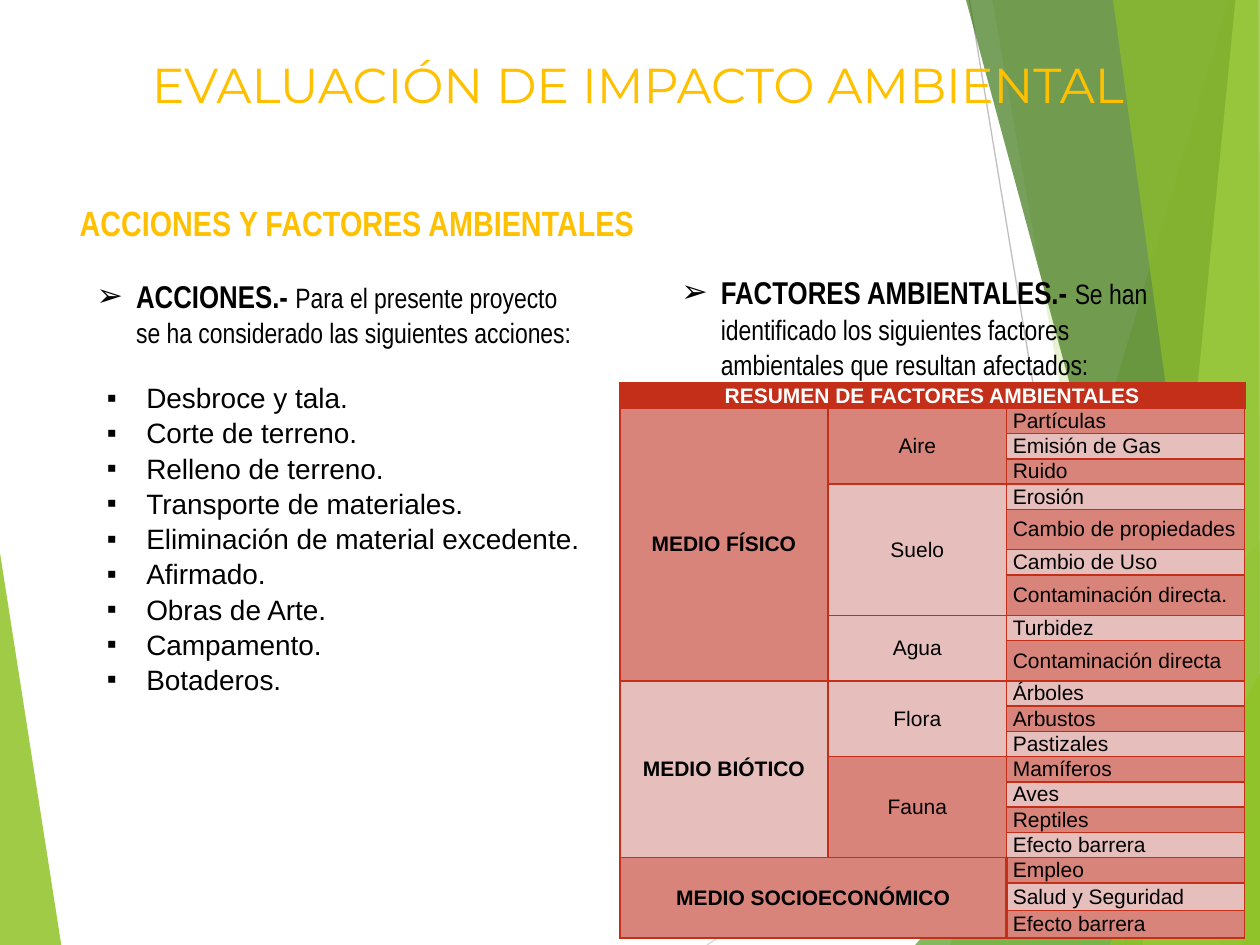
from lxml import etree
from pptx import Presentation
from pptx.dml.color import RGBColor
from pptx.enum.shapes import MSO_CONNECTOR
from pptx.enum.text import MSO_ANCHOR, MSO_AUTO_SIZE, PP_ALIGN
from pptx.oxml.ns import qn
from pptx.util import Pt

LEFT, CENTER, JUSTIFY = PP_ALIGN.LEFT, PP_ALIGN.CENTER, PP_ALIGN.JUSTIFY
MIDDLE = MSO_ANCHOR.MIDDLE
GROW, FIXED = MSO_AUTO_SIZE.SHAPE_TO_FIT_TEXT, MSO_AUTO_SIZE.NONE
STRAIGHT = MSO_CONNECTOR.STRAIGHT

COLORS = {
    "gold": "FFC000", "black": "000000", "white": "FFFFFF",
    "red": "C42F1A", "rose": "D8847A", "blush": "E6BEBC",
    "lime": "90C226", "green": "54A021", "forest": "3F7819",
    "pale": "C0E474", "mist": "D9D9D9", "gray": "BFBFBF",
}
NARROW = "Arial Narrow"

RAYS = [("mist", (404, 540), (720, 329)), ("gray", (554, 0), (643.5, 540))]
# colour, opacity in percent, corners
SHARDS = [
    ("lime", 85, [(0, 316), (35, 540), (0, 540)]),
    ("lime", 30, [(702, 0), (543, 540), (720, 540), (720, 0)]),
    ("lime", 20, [(567, 0), (662, 540), (720, 540), (720, 0)]),
    ("green", 72, [(523, 540), (720, 309), (720, 540)]),
    ("forest", 70, [(552, 0), (698, 540), (720, 540), (720, 0)]),
    ("pale", 70, [(706, 0), (653, 540), (720, 540), (720, 0)]),
    ("lime", 65, [(636, 0), (710, 540), (720, 540), (719, 0)]),
    ("lime", 80, [(634, 540), (720, 385), (720, 540)]),
]

ACTIONS = [
    "Desbroce y tala.", "Corte de terreno.", "Relleno de terreno.",
    "Transporte de materiales.", "Eliminación de material excedente.",
    "Afirmado.", "Obras de Arte.", "Campamento.", "Botaderos.",
]
FACTORS = [
    ("MEDIO FÍSICO", [
        ("Aire", ["Partículas", "Emisión de Gas", "Ruido"]),
        ("Suelo", ["Erosión", "Cambio de propiedades", "Cambio de Uso",
                   "Contaminación directa."]),
        ("Agua", ["Turbidez", "Contaminación directa"])]),
    ("MEDIO BIÓTICO", [
        ("Flora", ["Árboles", "Arbustos", "Pastizales"]),
        ("Fauna", ["Mamíferos", "Aves", "Reptiles", "Efecto barrera"])]),
    ("MEDIO SOCIOECONÓMICO", [
        ("", ["Empleo", "Salud y Seguridad", "Efecto barrera"])]),
]
WIDTHS = [119, 102, 136]
HEIGHTS = [14.4] * 18 + [15.7] * 2
for tall in (5, 7, 9):
    HEIGHTS[tall] = 23.1


def tint(name):
    return RGBColor.from_string(COLORS[name])


def write(para, text, font="Arial", size=12, color="black", bold=False,
          align=LEFT):
    para.alignment = align
    run = para.add_run()
    run.text = text
    run.font.name, run.font.size, run.font.bold = font, Pt(size), bold
    run.font.color.rgb = tint(color)


def mark(para, char):
    """Give a paragraph a bullet with a hanging indent."""
    props = para._p.get_or_add_pPr()
    props.set("marL", str(Pt(22.5)))
    props.set("indent", str(Pt(-22.5)))
    etree.SubElement(props, qn("a:buFont")).set("typeface", "Arial")
    etree.SubElement(props, qn("a:buChar")).set("char", char)
    para.line_spacing = 1.05


def frame(slide, box):
    shape = slide.shapes.add_textbox(*map(Pt, box))
    shape.text_frame.word_wrap = True
    shape.text_frame.auto_size = GROW
    return shape.text_frame


def backdrop(slide, box):
    x, y = box[:2]
    for color, start, end in RAYS:
        ends = [Pt(v) for v in (x + start[0], y + start[1],
                                x + end[0], y + end[1])]
        ray = slide.shapes.add_connector(STRAIGHT, *ends)
        ray.line.color.rgb, ray.line.width = tint(color), Pt(0.75)
        etree.SubElement(ray.element.spPr, qn("a:effectLst"))
    for color, alpha, points in SHARDS:
        points = [(x + px, y + py) for px, py in points]
        pen = slide.shapes.build_freeform(*points[0], scale=float(Pt(1)))
        pen.add_line_segments(points[1:], close=True)
        shard = pen.convert_to_shape()
        shard.shadow.inherit = False
        shard.line.fill.background()
        shard.fill.solid()
        shard.fill.fore_color.rgb = tint(color)
        rgb = shard.element.spPr.find(".//" + qn("a:srgbClr"))
        etree.SubElement(rgb, qn("a:alpha")).set("val", str(alpha * 1000))


def heading(slide, box):
    """Place the title in front of the backdrop."""
    title = slide.shapes.title
    title.element.getparent().append(title.element)
    title.left, title.top, title.width, title.height = map(Pt, box)
    body = title.text_frame
    body.vertical_anchor, body.auto_size = MIDDLE, FIXED
    write(body.paragraphs[0], "EVALUACIÓN DE IMPACTO AMBIENTAL",
          font="Montserrat", size=28, color="gold", align=CENTER)


def section(slide, box):
    body = frame(slide, box)
    body.margin_left = Pt(11.8)
    write(body.paragraphs[0], "ACCIONES Y FACTORES AMBIENTALES",
          font=NARROW, size=20, color="gold", bold=True, align=JUSTIFY)


def intro(slide, box, lead, text):
    para = frame(slide, box).paragraphs[0]
    mark(para, "➢")
    write(para, lead + " ", font=NARROW, size=18, bold=True)
    write(para, text, font=NARROW, size=16)


def actions(slide, box):
    body = frame(slide, box)
    for i, text in enumerate(ACTIONS):
        para = body.add_paragraph() if i else body.paragraphs[0]
        mark(para, "▪")
        write(para, text, size=16)


def border(cell, right):
    props = cell._tc.get_or_add_tcPr()
    for side in "LRTB":
        width = right if side == "R" else 1
        line = etree.SubElement(props, qn("a:ln" + side), w=str(Pt(width)))
        fill = etree.SubElement(line, qn("a:solidFill"))
        etree.SubElement(fill, qn("a:srgbClr")).set("val", COLORS["red"])


def factors(slide, box):
    grid = slide.shapes.add_table(
        len(HEIGHTS), len(WIDTHS), *map(Pt, box)).table
    grid.first_row = grid.horz_banding = False
    for col, width in zip(grid.columns, WIDTHS):
        col.width = Pt(width)
    for i, height in enumerate(HEIGHTS):
        grid.rows[i].height = Pt(height)
        for j in range(len(WIDTHS)):
            cell = grid.cell(i, j)
            border(cell, 1 if j else 1.5)
            cell.margin_left = cell.margin_right = Pt(3.6)
            cell.margin_top = cell.margin_bottom = 0
            cell.vertical_anchor = MIDDLE
            cell.fill.solid()
            shade = "rose" if i % 2 else "blush"
            cell.fill.fore_color.rgb = tint(shade if i else "red")

    def put(row, col, text, rows=1, cols=1, **style):
        cell = grid.cell(row, col)
        if rows * cols > 1:
            cell.merge(grid.cell(row + rows - 1, col + cols - 1))
        write(cell.text_frame.paragraphs[0], text, **style)

    put(0, 0, "RESUMEN DE FACTORES AMBIENTALES", cols=3, color="white",
        bold=True, align=CENTER)
    row = 1
    for medium, groups in FACTORS:
        span = sum(len(items) for _, items in groups)
        put(row, 0, medium, rows=span, cols=1 if groups[0][0] else 2,
            bold=True, align=CENTER)
        for group, items in groups:
            if group:
                put(row, 1, group, rows=len(items), align=CENTER)
            for item in items:
                put(row, 2, item)
                row += 1


def main():
    deck = Presentation()
    deck.slide_width, deck.slide_height = Pt(720), Pt(540)
    slide = deck.slides.add_slide(deck.slide_layouts[5])
    backdrop(slide, (0, 0, 720, 540))
    heading(slide, (14.4, 18.7, 700, 58.3))
    section(slide, (33.8, 111.6, 592.6, 31.7))
    intro(slide, (48.2, 153.4, 294.5, 48.2), "ACCIONES.-",
          "Para el presente proyecto se ha considerado las siguientes "
          "acciones:")
    actions(slide, (54, 213.1, 317.5, 181.4))
    intro(slide, (382.3, 151.2, 300.2, 67.7), "FACTORES AMBIENTALES.-",
          "Se han identificado los siguientes factores ambientales que "
          "resultan afectados:")
    factors(slide, (354.2, 218.9, sum(WIDTHS), sum(HEIGHTS)))
    deck.save("out.pptx")


if __name__ == "__main__":
    main()
